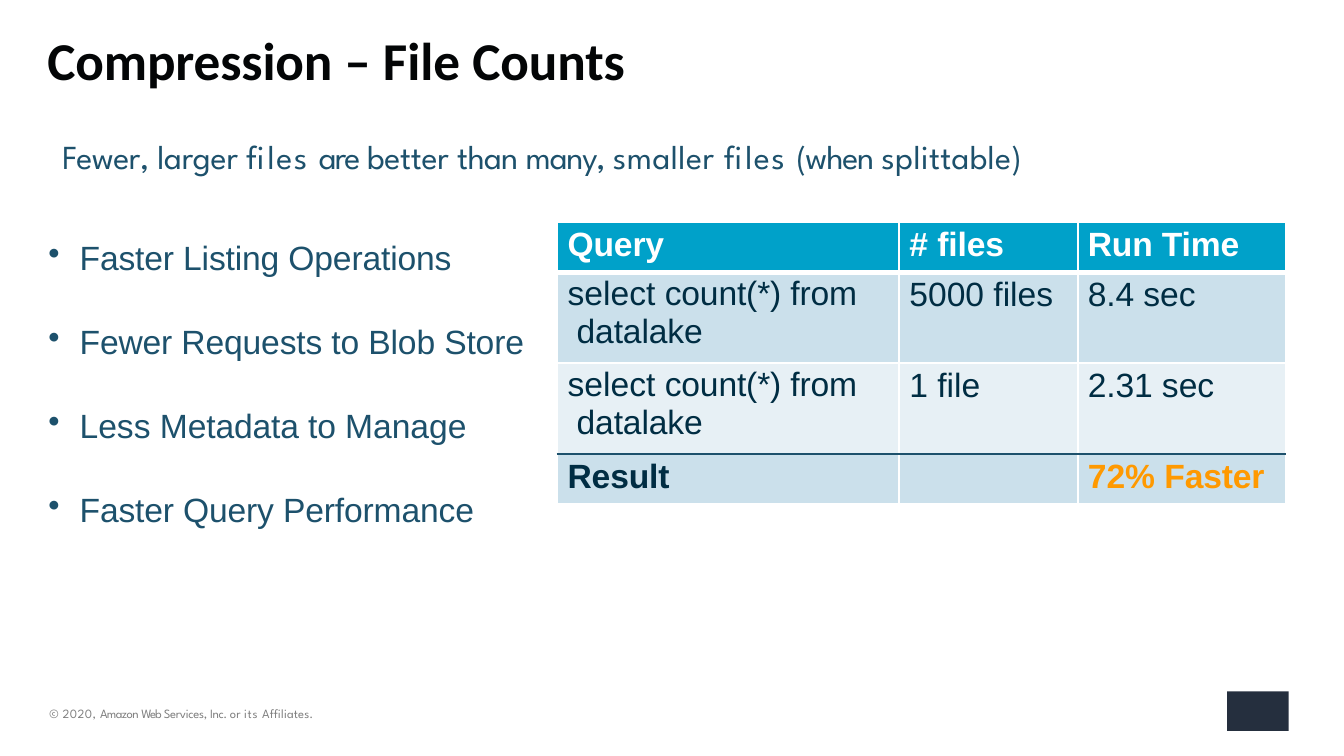
from dataclasses import dataclass

from lxml import etree
from pptx import Presentation
from pptx.dml.color import RGBColor
from pptx.enum.shapes import MSO_SHAPE
from pptx.oxml.ns import qn
from pptx.util import Inches, Pt

RECTANGLE = MSO_SHAPE.RECTANGLE


@dataclass(frozen=True)
class Theme:
    title_font: str = "Calibri"
    accent_font: str = "League Spartan"
    body_font: str = "Arial"
    title_size: float = 38
    body_size: float = 24
    footer_size: float = 9
    title: str = "030506"
    body: str = "1D516C"
    footer: str = "7F7F7F"
    white: str = "FFFFFF"
    header: str = "00A1C9"
    cell_text: str = "002D43"
    band_dark: str = "CBE0EB"
    band_light: str = "E7F0F5"
    highlight: str = "FF9900"
    mark: str = "252F3E"
    thin_line: float = 1.5
    thick_line: float = 4.25


THEME = Theme()

TITLE = [("Compression ", -0.1), ("– File ", 0), ("Counts", -0.1)]
LEAD = [("Fewer, ", -0.3), ("larger ", -0.1), ("files ", 1.1), ("are ", -1.2),
        ("better ", -0.1), ("than ", -0.5), ("many, ", -0.8), ("smaller ", 0.4),
        ("files ", 1.1), ("(when ", -0.8), ("splittable)", 0.3)]
BULLETS = [
    [("Faster Listing Operations", -0.1)],
    [("Fewer Requests to Blob Store", -0.1)],
    [("Less ", 0), ("Metadata to ", -0.1), ("Manage", 0)],
    [("Faster Query Performance", -0.1)],
]
COPYRIGHT = [("© ", 0.2), ("2020, ", 0.3), ("Amazon ", -0.4), ("Web ", -0.7),
             ("Services, ", -0.2), ("Inc. ", -0.3), ("or ", 0.1), ("its ", 0.5),
             ("Affiliates.", 0.1)]
QUERY = [("select ", 0), ("count(*) from datalake", -0.1)]
TABLE_ROWS = [
    [[("Query", -0.1)], [("# ", 0), ("files", -0.1)], [("Run Time", -0.1)]],
    [QUERY, [("5000 files", 0)], [("8.4 ", -0.1), ("sec", 0)]],
    [QUERY, [("1 file", 0)], [("2.31 ", -0.1), ("sec", 0)]],
    [[("Result", -0.1)], [], [("72% ", 0), ("Faster", -0.1)]],
]
COLUMN_WIDTHS = (3.39, 1.77, 2.06)
ROW_HEIGHTS = (0.5, 0.9, 0.9, 0.5)


def add_spans(para, spans, font, size, color, bold=False):
    for text, spacing in spans:
        span = para.add_run()
        span.text = text
        span.font.name = font
        span.font.size = Pt(size)
        span.font.bold = bold
        span.font.color.rgb = RGBColor.from_string(color)
        span._r.get_or_add_rPr().set("spc", str(round(spacing * 100)))


def set_indent(para, margin, first_line=0):
    properties = para._p.get_or_add_pPr()
    properties.set("marL", str(Inches(margin)))
    properties.set("indent", str(Inches(first_line)))
    return properties


def add_text_box(page, left, top, width, height):
    box = page.shapes.add_textbox(Inches(left), Inches(top), Inches(width), Inches(height))
    frame = box.text_frame
    frame.word_wrap = True
    frame.margin_left = frame.margin_right = frame.margin_bottom = 0
    frame.margin_top = Inches(0.01)
    return frame


def add_line(page, box, spans, font, size, color, bold=False):
    para = add_text_box(page, *box).paragraphs[0]
    set_indent(para, 0.01)
    add_spans(para, spans, font, size, color, bold)


def add_body(page, box):
    frame = add_text_box(page, *box)
    lead = frame.paragraphs[0]
    set_indent(lead, 0.16)
    add_spans(lead, LEAD, THEME.accent_font, THEME.body_size, THEME.body)
    for index, spans in enumerate(BULLETS):
        para = frame.add_paragraph()
        properties = set_indent(para, 0.33, -0.31)
        etree.SubElement(properties, qn("a:buChar"), char="•")
        para.space_before = Pt(31.2 if index else 43.5)
        add_spans(para, spans, THEME.body_font, THEME.body_size, THEME.body)


def set_borders(cell, top, bottom):
    side = (THEME.white, THEME.thin_line)
    properties = cell._tc.get_or_add_tcPr()
    for tag, (color, width) in zip(("lnL", "lnR", "lnT", "lnB"), (side, side, top, bottom)):
        line = etree.SubElement(properties, qn(f"a:{tag}"), w=str(Pt(width)))
        fill = etree.SubElement(line, qn("a:solidFill"))
        etree.SubElement(fill, qn("a:srgbClr"), val=color)


def add_results_table(page, left, top):
    table = page.shapes.add_table(
        len(ROW_HEIGHTS), len(COLUMN_WIDTHS), Inches(left), Inches(top),
        Inches(sum(COLUMN_WIDTHS)), Inches(sum(ROW_HEIGHTS))).table
    table.horz_banding = False
    for column, width in zip(table.columns, COLUMN_WIDTHS):
        column.width = Inches(width)
    for row, height in zip(table.rows, ROW_HEIGHTS):
        row.height = Inches(height)

    thin = (THEME.white, THEME.thin_line)
    thick = (THEME.white, THEME.thick_line)
    rule = (THEME.body, THEME.thin_line)
    edges = (thin, thick, thin, rule, thin)
    fills = (THEME.header, THEME.band_dark, THEME.band_light, THEME.band_dark)
    last_row = len(TABLE_ROWS) - 1

    for row_index, row in enumerate(TABLE_ROWS):
        for column_index, spans in enumerate(row):
            cell = table.cell(row_index, column_index)
            set_borders(cell, edges[row_index], edges[row_index + 1])
            cell.fill.solid()
            cell.fill.fore_color.rgb = RGBColor.from_string(fills[row_index])
            cell.margin_left = cell.margin_right = cell.margin_bottom = 0
            cell.margin_top = Inches(0.04)
            para = cell.text_frame.paragraphs[0]
            if spans is QUERY:
                set_indent(para, 0.19, -0.09)
                para.line_spacing = 1.01
                cell.margin_top = Inches(0.03)
            else:
                set_indent(para, 0.1)
            color = THEME.cell_text
            if row_index == 0:
                color = THEME.white
            elif row_index == last_row and column_index == 2:
                color = THEME.highlight
            add_spans(para, spans, THEME.body_font, THEME.body_size, color,
                      row_index in (0, last_row))


def add_corner_mark(page, left, top, width, height):
    mark = page.shapes.add_shape(
        RECTANGLE, Inches(left), Inches(top), Inches(width), Inches(height))
    mark.shadow.inherit = False
    mark.fill.solid()
    mark.fill.fore_color.rgb = RGBColor.from_string(THEME.mark)
    mark.line.fill.background()


def build_comparison_slide(deck):
    page = deck.slides.add_slide(deck.slide_layouts[6])
    add_corner_mark(page, 12.17, 6.86, 0.61, 0.39)
    add_line(page, (0.46, 0.26, 6, 0.66), TITLE,
             THEME.title_font, THEME.title_size, THEME.title, True)
    add_line(page, (0.48, 6.99, 3.02, 0.18), COPYRIGHT,
             THEME.accent_font, THEME.footer_size, THEME.footer)
    add_body(page, (0.46, 1.34, 11.45, 3.83))
    add_results_table(page, 5.53, 2.2)


def main():
    deck = Presentation()
    deck.slide_width = Inches(13.33)
    deck.slide_height = Inches(7.5)
    build_comparison_slide(deck)
    deck.save("out.pptx")


if __name__ == "__main__":
    main()
